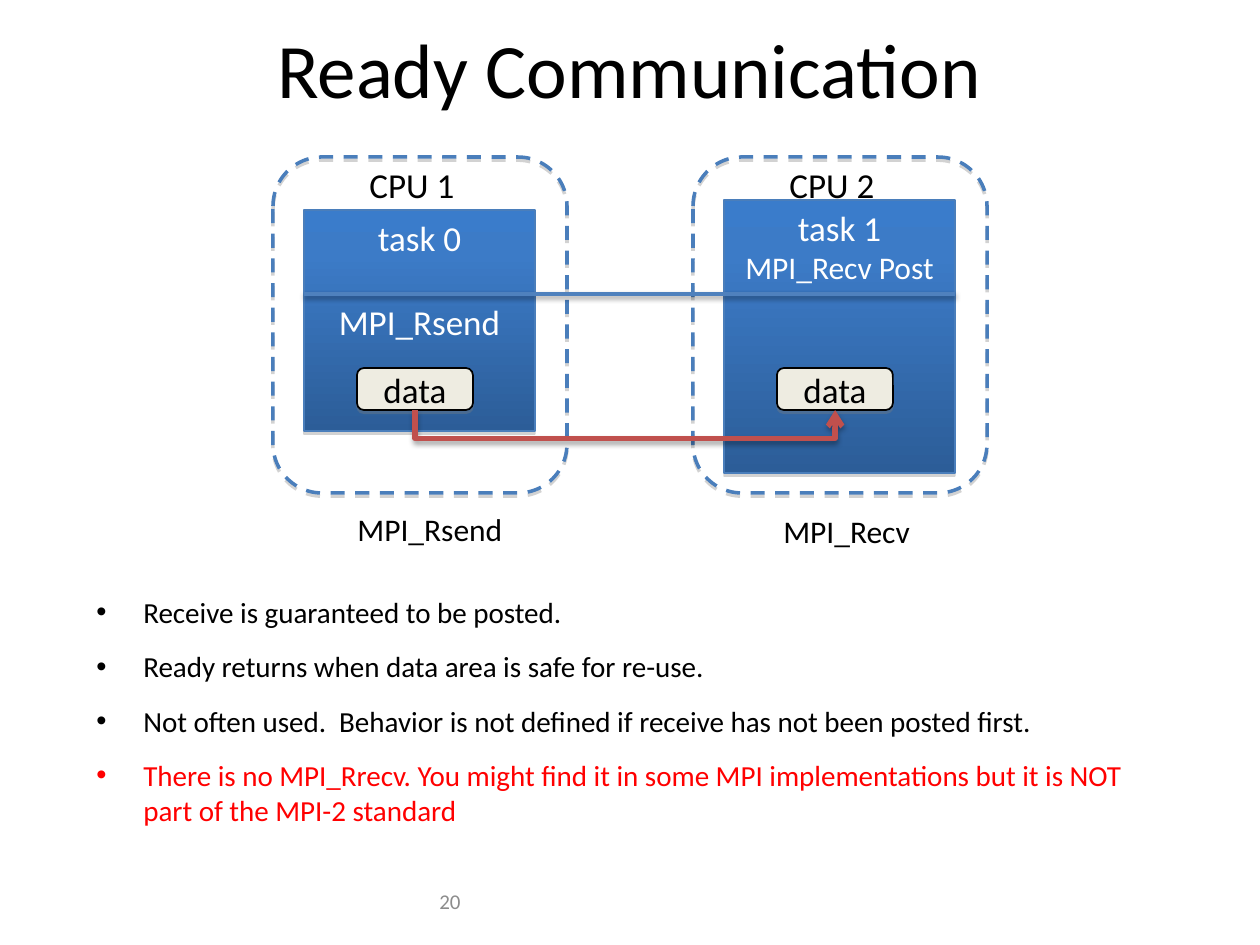
from lxml.etree import SubElement
from pptx import Presentation
from pptx.dml.color import RGBColor
from pptx.enum.dml import MSO_LINE
from pptx.enum.shapes import MSO_CONNECTOR, MSO_SHAPE
from pptx.enum.text import MSO_ANCHOR, PP_ALIGN
from pptx.oxml.ns import qn
from pptx.util import Emu, Pt

TITLE = "Ready Communication"
PAGE_NUMBER = "20"
POINTS = [
    ("Receive is guaranteed to be posted.", "black"),
    ("Ready returns when data area is safe for re-use.", "black"),
    ("Not often used.  Behavior is not defined if receive has not been posted first.", "black"),
    ("There is no MPI_Rrecv. You might find it in some MPI implementations "
     "but it is NOT part of the MPI-2 standard", "red"),
]
PROCESSORS = [
    {"name": "CPU 1", "call": "MPI_Rsend", "call_box": (345, 504, 171, 50),
     "task": [("task 0", "label", 0), ("MPI_Rsend", "label", 24.4)],
     "task_top": 210, "task_height": 221},
    {"name": "CPU 2", "call": "MPI_Recv", "call_box": (771, 506, 154, 50),
     "task": [("task 1", "label", 0), ("MPI_Recv Post", "call", 0)],
     "task_top": 200, "task_height": 273},
]


class Theme:
    font = "Calibri"
    colors = {"black": "000000", "white": "FFFFFF", "red": "FF0000", "gray": "8C8C8C",
              "cream": "EEECE1", "outline": "4A7EBB", "barrier": "4F81BD",
              "arrow": "C0504D", "shadow": "808080"}
    sizes = {"title": 44, "label": 20, "call": 18, "point": 16.6, "number": 12}
    gradient = [(0, "3A7CCB"), (20, "3C7BC7"), (100, "2C5D98")]


SCALE = 914400 // 126
FIRST_LEFT, PITCH = 273, 420
CPU_TOP, CPU_WIDTH, CPU_HEIGHT = 157, 294, 336
TASK_INSET, TASK_WIDTH = 31, 231
DATA_INSET, DATA_TOP, DATA_WIDTH, DATA_HEIGHT = 84, 368, 116, 42
BARRIER_TOP = 294
ARROW_DROP, ARROW_THICKNESS = 31.5, 1588


def px(value):
    return Emu(round(value * SCALE))


def color(name):
    return RGBColor.from_string(Theme.colors[name])


def write(shape, lines, ink, align=PP_ALIGN.LEFT, anchor=MSO_ANCHOR.TOP, wrap=True):
    frame = shape.text_frame
    frame.word_wrap = wrap
    frame.vertical_anchor = anchor
    for index, (text, size, gap) in enumerate(lines):
        para = frame.add_paragraph() if index else frame.paragraphs[0]
        para.text = text
        para.alignment = align
        para.space_before = Pt(gap)
        font = para.runs[0].font
        font.name = Theme.font
        font.size = Pt(Theme.sizes[size])
        font.color.rgb = color(ink)
    return frame


def add_text(page, bounds, lines, ink="black", **layout):
    box = page.shapes.add_textbox(*map(px, bounds))
    return write(box, lines, ink, **layout)


def add_shadow(shape, ink="shadow", alpha=35, blur=0, distance=1.8):
    properties = shape.element.spPr
    effects = properties.find(qn("a:effectLst"))
    if effects is None:
        effects = SubElement(properties, qn("a:effectLst"))
    shadow = SubElement(effects, qn("a:outerShdw"), blurRad=str(Pt(blur)),
                        dist=str(Pt(distance)), dir="5400000", rotWithShape="0")
    tint = SubElement(shadow, qn("a:srgbClr"), val=Theme.colors[ink])
    SubElement(tint, qn("a:alpha"), val=str(alpha * 1000))


def set_line(shape, ink, width):
    shape.line.color.rgb = color(ink)
    shape.line.width = Pt(width)


def add_block(page, kind, bounds, ink, width):
    block = page.shapes.add_shape(kind, *map(px, bounds))
    block.shadow.inherit = False
    block.fill.background()
    set_line(block, ink, width)
    add_shadow(block)
    return block


def fill_gradient(shape):
    shape.fill.gradient()
    shape.fill.gradient_angle = 270
    stops = shape.element.spPr.find(qn("a:gradFill")).find(qn("a:gsLst"))
    for stop in list(stops):
        stops.remove(stop)
    for position, tint in Theme.gradient:
        stop = SubElement(stops, qn("a:gs"), pos=str(position * 1000))
        SubElement(stop, qn("a:srgbClr"), val=tint)


def add_processor(page, processor, left):
    cpu = add_block(page, MSO_SHAPE.ROUNDED_RECTANGLE,
                    (left, CPU_TOP, CPU_WIDTH, CPU_HEIGHT), "outline", 2)
    cpu.line.dash_style = MSO_LINE.DASH
    task = add_block(page, MSO_SHAPE.RECTANGLE,
                     (left + TASK_INSET, processor["task_top"], TASK_WIDTH,
                      processor["task_height"]), "outline", 0.75)
    fill_gradient(task)
    write(task, processor["task"], "white", align=PP_ALIGN.CENTER)
    data = add_block(page, MSO_SHAPE.ROUNDED_RECTANGLE,
                     (left + DATA_INSET, DATA_TOP, DATA_WIDTH, DATA_HEIGHT), "black", 1)
    data.fill.solid()
    data.fill.fore_color.rgb = color("cream")
    write(data, [("data", "label", 0)], "black", PP_ALIGN.CENTER, MSO_ANCHOR.MIDDLE)
    add_text(page, (left + DATA_INSET, CPU_TOP, 111, 55),
             [(processor["name"], "label", 0)], wrap=False)
    add_text(page, processor["call_box"], [(processor["call"], "call", 0)], wrap=False)


def add_data_arrow(page):
    start = FIRST_LEFT + DATA_INSET + DATA_WIDTH / 2
    middle, level = start + PITCH / 2, DATA_TOP + DATA_HEIGHT
    arrow = page.shapes.add_connector(MSO_CONNECTOR.ELBOW, px(middle), px(level - PITCH / 2),
                                      px(middle), px(level + PITCH / 2))
    arrow.width = Emu(ARROW_THICKNESS)
    frame = arrow.element.spPr.find(qn("a:xfrm"))
    frame.set("rot", "16200000")
    frame.set("flipH", "1")
    guides = arrow.element.spPr.find(qn("a:prstGeom")).get_or_add_avLst()
    bend = round(px(ARROW_DROP) / ARROW_THICKNESS * 100000)
    SubElement(guides, qn("a:gd"), name="adj1", fmla=f"val {bend}")
    set_line(arrow, "arrow", 3)
    SubElement(arrow.line._get_or_add_ln(), qn("a:tailEnd"), type="arrow")
    add_shadow(arrow, "black", 35, 3.1, 1.8)


def add_barrier(page):
    left = FIRST_LEFT + TASK_INSET
    barrier = page.shapes.add_connector(MSO_CONNECTOR.STRAIGHT, px(left), px(BARRIER_TOP),
                                        px(left + PITCH + TASK_WIDTH), px(BARRIER_TOP))
    set_line(barrier, "barrier", 2)
    add_shadow(barrier, "black", 38, 3.1, 1.6)


def add_points(page):
    frame = add_text(page, (84, 588, 1071, 231), [(text, "point", 11.2) for text, ink in POINTS])
    for para, (text, ink) in zip(frame.paragraphs, POINTS):
        para.runs[0].font.color.rgb = color(ink)
        properties = para._p.get_or_add_pPr()
        properties.set("marL", str(px(47)))
        properties.set("indent", str(-px(47)))
        SubElement(properties, qn("a:buFont"), typeface="Arial")
        SubElement(properties, qn("a:buChar"), char="•")


deck = Presentation()
deck.slide_width, deck.slide_height = px(1260), px(945)
page = deck.slides.add_slide(deck.slide_layouts[6])
add_text(page, (94, 0, 1071, 136), [(TITLE, "title", 0)],
         align=PP_ALIGN.CENTER, anchor=MSO_ANCHOR.MIDDLE)
add_points(page)
for index, processor in enumerate(PROCESSORS):
    add_processor(page, processor, FIRST_LEFT + index * PITCH)
add_data_arrow(page)
add_barrier(page)
add_text(page, (179, 876, 294, 50), [(PAGE_NUMBER, "number", 0)], "gray",
         align=PP_ALIGN.RIGHT, anchor=MSO_ANCHOR.MIDDLE)
deck.save("out.pptx")
